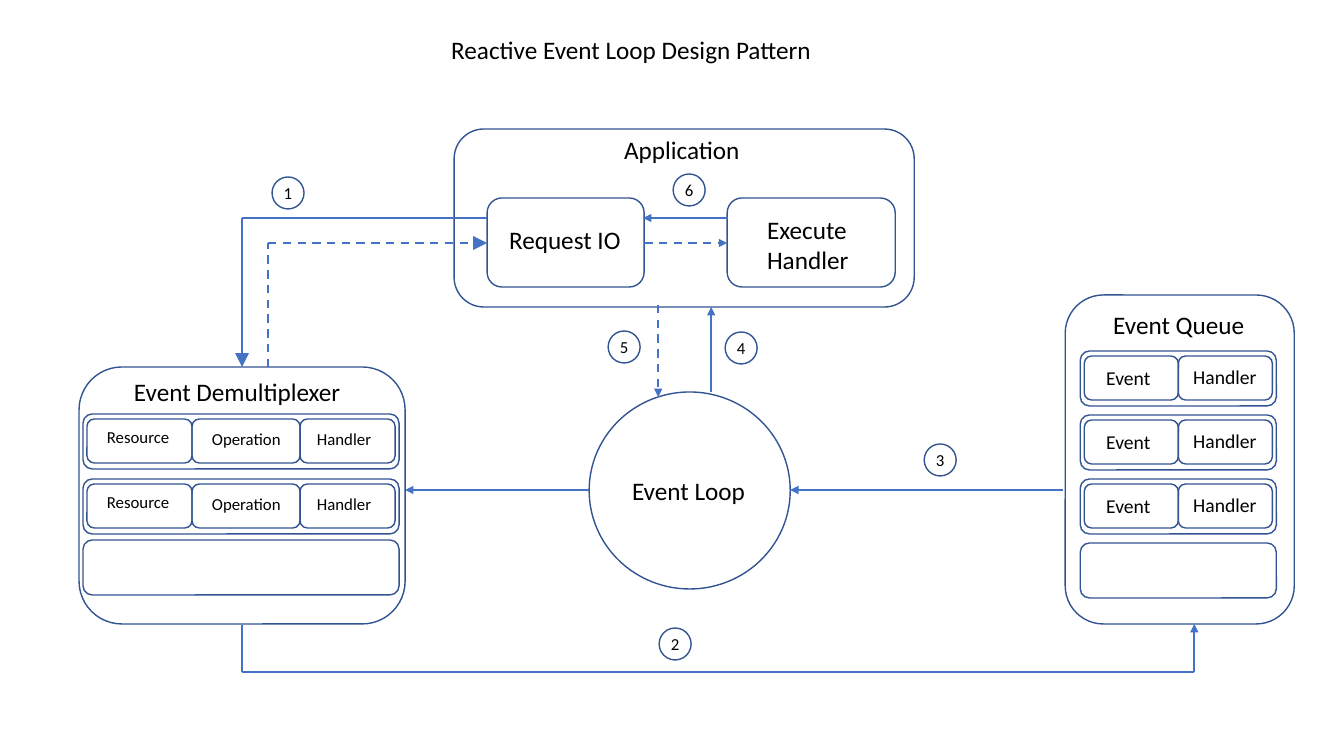
from dataclasses import dataclass
from itertools import pairwise

from lxml.etree import SubElement
from pptx import Presentation
from pptx.dml.color import RGBColor
from pptx.enum.dml import MSO_LINE
from pptx.enum.shapes import MSO_CONNECTOR, MSO_SHAPE
from pptx.enum.text import MSO_ANCHOR, MSO_AUTO_SIZE, PP_ALIGN
from pptx.oxml.ns import qn
from pptx.util import Inches, Pt

PIXEL = Inches(1) / 100.8


@dataclass(frozen=True)
class Theme:
    """Colours, type sizes and line widths of the diagram."""
    font: str = "Calibri"
    text: RGBColor = RGBColor(0x00, 0x00, 0x00)
    outline: RGBColor = RGBColor(0x32, 0x54, 0x91)
    arrow: RGBColor = RGBColor(0x44, 0x72, 0xC4)
    heading: int = 18
    event: int = 14
    small: int = 12
    outline_width: float = 1
    arrow_width: float = 1.5


def emu(*pixels):
    """Turn pixel lengths into EMU."""
    return [round(pixel * PIXEL) for pixel in pixels]


class Diagram:
    """Draws styled elements on one slide."""

    def __init__(self, slide, theme):
        """Keep the slide and its theme."""
        self.slide = slide
        self.theme = theme

    def set_text(self, shape, text, size, align=PP_ALIGN.LEFT):
        """Set the text of a shape and format its runs."""
        frame = shape.text_frame
        frame.text = text
        frame.word_wrap = True
        frame.auto_size = MSO_AUTO_SIZE.NONE
        for paragraph in frame.paragraphs:
            paragraph.alignment = align
            for run in paragraph.runs:
                run.font.name = self.theme.font
                run.font.size = Pt(size)
                run.font.color.rgb = self.theme.text

    def title(self, text, left, top, width, height):
        """Place and fill the title placeholder."""
        title = self.slide.shapes.title
        title.left, title.top, title.width, title.height = emu(left, top, width, height)
        self.set_text(title, text, self.theme.heading)
        title.text_frame.vertical_anchor = MSO_ANCHOR.TOP

    def label(self, text, left, top, width, height=40, size=None):
        """Add a text box."""
        box = self.slide.shapes.add_textbox(*emu(left, top, width, height))
        self.set_text(box, text, size or self.theme.heading)

    def outline(self, left, top, width, height, kind=MSO_SHAPE.ROUNDED_RECTANGLE):
        """Add an unfilled outlined shape."""
        shape = self.slide.shapes.add_shape(kind, *emu(left, top, width, height))
        shape.shadow.inherit = False
        shape.fill.background()
        shape.line.color.rgb = self.theme.outline
        shape.line.width = Pt(self.theme.outline_width)
        return shape

    def badge(self, number, left, top):
        """Add a numbered step circle."""
        circle = self.outline(left, top, 32, 32, MSO_SHAPE.OVAL)
        self.set_text(circle, str(number), self.theme.small, PP_ALIGN.CENTER)
        frame = circle.text_frame
        frame.margin_left = frame.margin_right = 0
        frame.margin_top = frame.margin_bottom = 0
        frame.vertical_anchor = MSO_ANCHOR.MIDDLE

    def route(self, *points, dashed=False, head="med"):
        """Join points with straight lines, ending in an arrowhead."""
        for start, end in pairwise(points):
            line = self.slide.shapes.add_connector(
                MSO_CONNECTOR.STRAIGHT, *emu(*start, *end))
            line.line.color.rgb = self.theme.arrow
            line.line.width = Pt(self.theme.arrow_width)
            if dashed:
                line.line.dash_style = MSO_LINE.DASH
            properties = line._element.spPr
            if end == points[-1]:
                SubElement(properties.find(qn("a:ln")), qn("a:tailEnd"),
                           type="triangle", w=head, len=head)
            SubElement(properties, qn("a:effectLst"))

    def record(self, left, top, width, cells=(), size=None):
        """Add a row frame holding cells of (text, x, width, text x, text y)."""
        for text, cell_left, cell_width, text_left, text_top in cells:
            self.outline(cell_left, top + 5, cell_width, 44)
            self.label(text, text_left, top + text_top, 95, 32, size)
        self.outline(left, top, width, 55)


presentation = Presentation()
presentation.slide_width, presentation.slide_height = Inches(13.33), Inches(7.5)
theme = Theme()
diagram = Diagram(presentation.slides.add_slide(presentation.slide_layouts[5]), theme)

diagram.title("Reactive Event Loop Design Pattern", 441, 29, 697, 40)

# Main components
diagram.outline(454, 129, 460, 178)
diagram.outline(79, 367, 326, 257)
diagram.outline(1065, 295, 229, 329)
diagram.outline(589, 392, 201, 197, MSO_SHAPE.OVAL)
diagram.outline(487, 198, 157, 89)
diagram.outline(727, 198, 168, 89)
for heading in [
    ("Application", 614, 129, 226),
    ("Event Loop", 622, 470, 140),
    ("Event Queue", 1103, 304, 158),
    ("Event Demultiplexer", 124, 371, 260),
    ("Request IO", 499, 219, 138),
    ("Execute\nHandler", 757, 209, 112, 72),
]:
    diagram.label(*heading)

# Demultiplexer and queue rows
demultiplexer_cells = [
    ("Resource", 87, 105, 97, 8),
    ("Operation", 192, 108, 202, 10),
    ("Handler", 300, 95, 307, 10),
]
for top, cells in [(414, demultiplexer_cells), (479, demultiplexer_cells), (540, ())]:
    diagram.record(83, top, 316, cells, theme.small)

queue_cells = [("Event", 1084, 94, 1096, 10), ("Handler", 1178, 94, 1183, 9)]
for row in range(4):
    diagram.record(1080, 351 + 64 * row, 196, queue_cells if row < 3 else (), theme.event)

# Flow between components
diagram.route((487, 218), (242, 218), (242, 367), head="lg")
diagram.route((268, 367), (268, 243), (487, 243), dashed=True, head="lg")
diagram.route((728, 218), (643, 218))
diagram.route((644, 243), (727, 243), dashed=True)
diagram.route((711, 392), (711, 307))
diagram.route((658, 305), (658, 397), dashed=True)
diagram.route((589, 490), (405, 490))
diagram.route((1063, 490), (790, 490))
diagram.route((242, 625), (242, 672), (1194, 672), (1194, 624))

badges = [(272, 177), (659, 628), (924, 444), (725, 332), (608, 331), (673, 174)]
for number, (left, top) in enumerate(badges, start=1):
    diagram.badge(number, left, top)

presentation.save("out.pptx")
